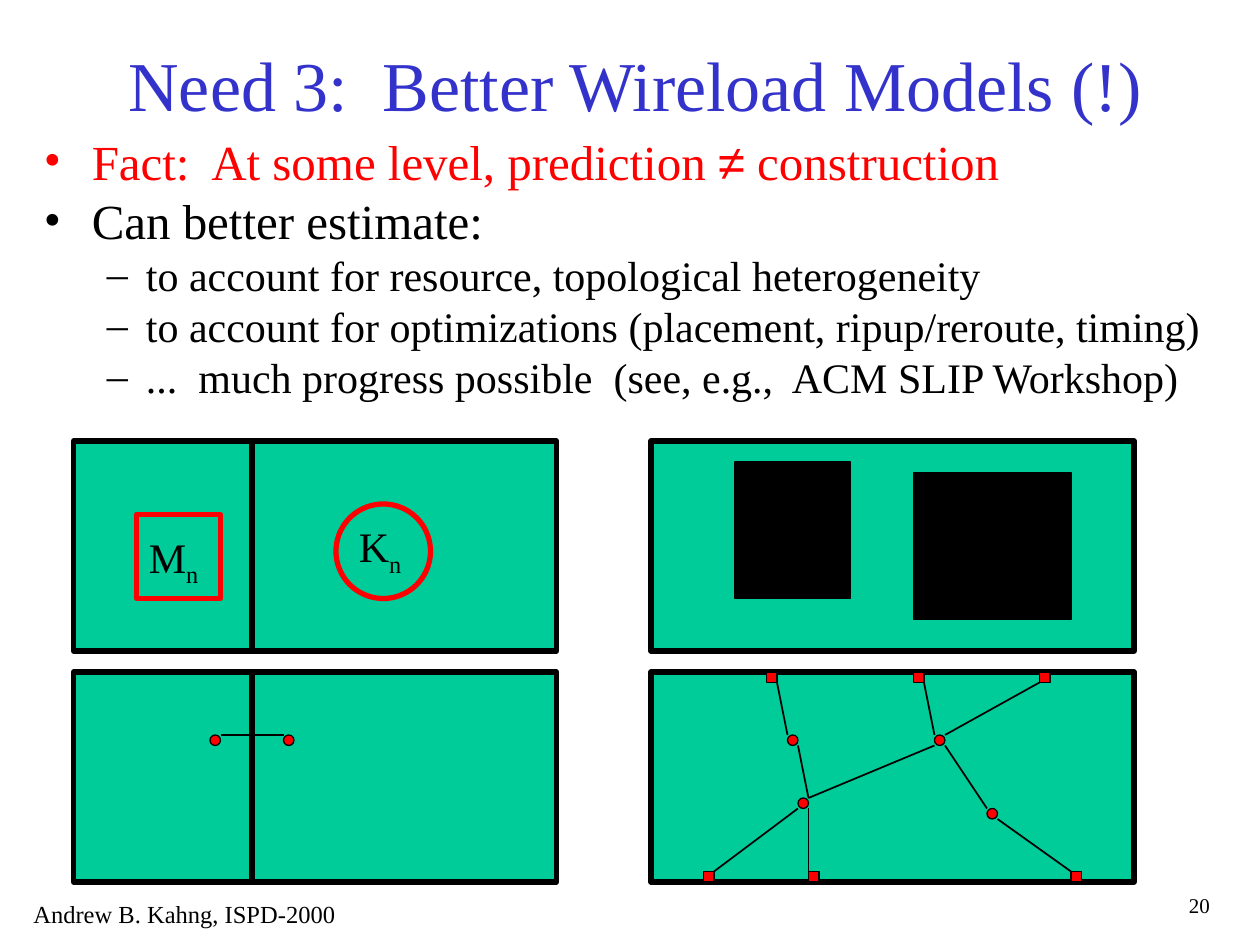
from lxml import etree
from pptx import Presentation
from pptx import util as u
from pptx.dml.color import RGBColor
from pptx.enum import shapes, text
from pptx.oxml.ns import qn

BLACK = RGBColor(0, 0, 0)
RED = RGBColor(0xFF, 0, 0)
BLUE = RGBColor(0x33, 0x33, 0xCC)
GREEN = RGBColor(0, 0xCC, 0x99)
SERIF = "Times New Roman"
RECT = shapes.MSO_SHAPE.RECTANGLE
OVAL = shapes.MSO_SHAPE.OVAL
LEFT, MID, RIGHT = text.PP_ALIGN.LEFT, text.PP_ALIGN.CENTER, text.PP_ALIGN.RIGHT

deck = Presentation()
deck.slide_width, deck.slide_height = u.Inches(10), u.Inches(7.5)
UNIT = deck.slide_width / 120
slide = deck.slides.add_slide(deck.slide_layouts[5])
items = slide.shapes


def put(kind, box, fill, edge=BLACK, width=0.75):
    shape = items.add_shape(kind, *[round(n * UNIT) for n in box])
    shape.shadow.inherit = False
    if fill is None:
        shape.fill.background()
    else:
        shape.fill.solid()
        shape.fill.fore_color.rgb = fill
    shape.line.color.rgb = edge
    shape.line.width = u.Pt(width)


def write(para, words, size, color=BLACK, face=SERIF):
    run = para.add_run()
    run.text = words
    run.font.size = u.Pt(size)
    run.font.name = face
    run.font.color.rgb = color
    return run


title = items.title
title.left, title.top, title.width, title.height = [round(n * UNIT) for n in (7, 2, 107, 12)]
title.text_frame.vertical_anchor = text.MSO_ANCHOR.MIDDLE
head = title.text_frame.paragraphs[0]
head.alignment = MID
write(head, "Need 3:  Better Wireload Models (!)", 40, BLUE)

body = items.add_textbox(*[round(n * UNIT) for n in (3, 13, 117, 28)]).text_frame
body.word_wrap = True
points = [
    (0, RED, [("Fact:  At some level, prediction ", SERIF), ("≠", "Arial"), (" construction", SERIF)]),
    (0, BLACK, [("Can better estimate:", SERIF)]),
    (1, BLACK, [("to account for resource, topological heterogeneity", SERIF)]),
    (1, BLACK, [("to account for optimizations (placement, ripup/reroute, timing)", SERIF)]),
    (1, BLACK, [("...  much progress possible  (see, e.g.,  ACM SLIP Workshop)", SERIF)]),
]
for i, (level, color, runs) in enumerate(points):
    para = body.add_paragraph() if i else body.paragraphs[0]
    para.level = level
    size, gap, mark, left, hang = [(28, 7, "•", 0.38, 0.38), (24, 6, "–", 0.81, 0.31)][level]
    para.line_spacing = 0.8
    para.space_before = u.Pt(gap if i else 0)
    props = para._p.get_or_add_pPr()
    props.set("marL", str(u.Inches(left)))
    props.set("indent", str(-u.Inches(hang)))
    tint = etree.SubElement(props, qn("a:buClr"))
    etree.SubElement(tint, qn("a:srgbClr")).set("val", str(color))
    etree.SubElement(props, qn("a:buFont")).set("typeface", SERIF)
    etree.SubElement(props, qn("a:buChar")).set("char", mark)
    for words, face in runs:
        write(para, words, size, color, face)

for x in (7, 62):
    for y in (42, 64):
        put(RECT, (x, y, 46, 20), GREEN, width=3)
for box in ((70, 44, 11, 13), (87, 45, 15, 14)):
    put(RECT, box, BLACK)
put(OVAL, (32, 48, 9, 9), None, RED, 3)
put(RECT, (13, 49, 8, 8), GREEN, RED, 3)

pins = [(73, 64), (87, 64), (99, 64), (67, 83), (77, 83), (102, 83)]
nodes = [(20, 70), (27, 70), (75, 70), (89, 70), (76, 76), (94, 77)]
for kind, spots in ((RECT, pins), (OVAL, nodes)):
    for x, y in spots:
        put(kind, (x, y, 1, 1), RED)

walls = [(24, 42, 24, 62), (24, 64, 24, 84)]
wires = [
    (27, 70, 21, 70), (77, 83, 77, 77), (89, 70, 88, 65), (94, 77, 90, 71),
    (102, 83, 95, 78), (68, 83, 76, 77), (77, 76, 76, 71), (75, 70, 74, 65),
    (77, 76, 89, 71), (90, 70, 99, 65),
]
for width, group in ((3, walls), (1, wires)):
    for ends in group:
        line = items.add_connector(shapes.MSO_CONNECTOR.STRAIGHT, *[round(n * UNIT) for n in ends])
        line.line.color.rgb = BLACK
        line.line.width = u.Pt(width)
        etree.SubElement(line._element.spPr, qn("a:effectLst"))

labels = [
    ((33, 49, 12, 6.7), LEFT, 24, "K", "n"),
    ((13, 50, 12, 6.7), LEFT, 24, "M", "n"),
    ((2, 85, 49, 4), LEFT, 14, "Andrew B. Kahng, ISPD-2000", ""),
    ((109, 84.4, 7.4, 3.7), RIGHT, 12, "20", ""),
]
for box, align, size, words, sub in labels:
    frame = items.add_textbox(*[round(n * UNIT) for n in box]).text_frame
    frame.word_wrap = True
    para = frame.paragraphs[0]
    para.alignment = align
    write(para, words, size)
    if sub:
        write(para, sub, size)._r.get_or_add_rPr().set("baseline", "-25000")

deck.save("out.pptx")
